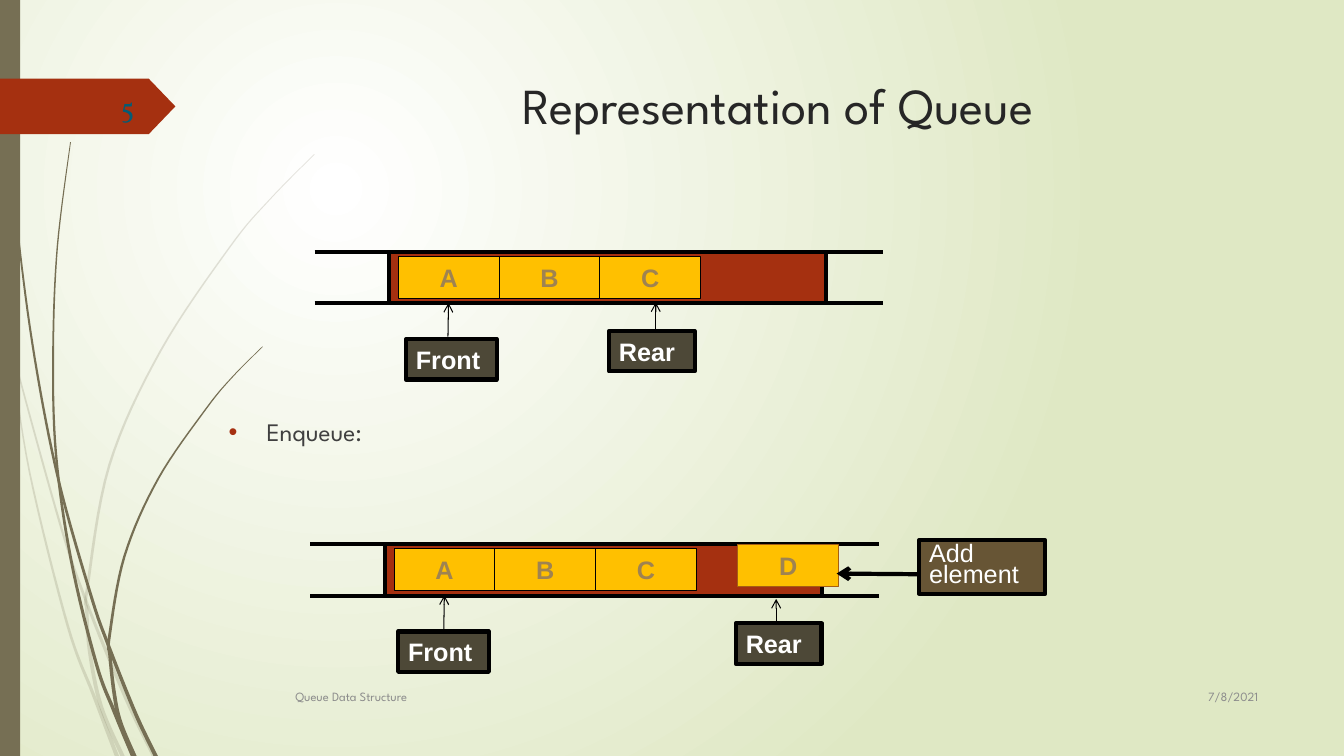
import lxml.etree
import pptx
import pptx.dml.color
import pptx.enum.shapes
import pptx.enum.text
import pptx.oxml.ns
import pptx.util

Pt = pptx.util.Pt
RGB = pptx.dml.color.RGBColor
ALIGN = pptx.enum.text.PP_ALIGN
ANCHOR = pptx.enum.text.MSO_ANCHOR
KIND = pptx.enum.shapes.MSO_SHAPE

WHITE = RGB(0xFF, 0xFF, 0xFF)
BLACK = RGB(0x00, 0x00, 0x00)
PALE = RGB(0xDF, 0xE8, 0xC4)
KHAKI = RGB(0x76, 0x6F, 0x54)
RUST = RGB(0xA5, 0x30, 0x10)
GOLD = RGB(0xFF, 0xC0, 0x00)
SAND = RGB(0x9F, 0x83, 0x51)
AMBER = RGB(0xA6, 0x5E, 0x12)
OLIVE = RGB(0x4D, 0x48, 0x37)
BROWN = RGB(0x67, 0x55, 0x35)
INK = RGB(0x26, 0x26, 0x26)
SLATE = RGB(0x40, 0x40, 0x40)
GREY = RGB(0x8C, 0x8C, 0x8C)
TEAL = RGB(0x04, 0x5C, 0x75)
HEAD = "League Spartan"

# Centre points of the grass strands, from tip to root
DARK = [
    [(2.5, 0), (5.4, 79), (13, 168), (24.8, 256), (41.8, 343), (65, 425.5),
     (77.8, 462), (96.5, 509), (111.2, 540)],
    [(50.4, 101.5), (41, 176.4), (38, 251), (40, 324), (50.8, 400),
     (68.8, 474), (81.4, 507.6), (95, 540)],
    [(187.5, 247.7), (166.3, 269), (147.2, 292), (113, 342), (89, 397),
     (78.1, 455), (78.5, 468), (81.4, 494), (85.7, 515), (96, 540)],
]
LIGHT = [
    [(0, 209), (11.2, 259), (43.2, 375), (62, 430.5), (90, 499), (110, 540)],
    [(8, 252), (21.2, 337.7), (48.2, 446.4), (67, 497), (83.5, 540)],
    [(224.6, 110.2), (193, 142.2), (164.5, 176), (114.5, 251), (78.1, 332.3),
     (62.3, 420.5), (62, 435.6), (64, 465), (72, 504), (87.5, 540)],
]


def sub(node, tag, **attrs):
    return lxml.etree.SubElement(node, pptx.oxml.ns.qn(tag), attrs)


def style(par, size, color, font, bold=False, align=ALIGN.LEFT):
    par.alignment = align
    for run in par.runs:
        run.font.size = Pt(size)
        run.font.name = font
        run.font.bold = bold
        run.font.color.rgb = color


def block(slide, box, fill, line=BLACK, width=3, kind=KIND.RECTANGLE):
    shape = slide.shapes.add_shape(kind, *map(Pt, box))
    shape.shadow.inherit = False
    shape.fill.solid()
    shape.fill.fore_color.rgb = fill
    if line is None:
        shape.line.fill.background()
    else:
        shape.line.color.rgb = line
        shape.line.width = Pt(width)
    return shape


def label(slide, box, text, fill=OLIVE, bold=True):
    shape = block(slide, box, fill)
    shape.text_frame.text = text
    style(shape.text_frame.paragraphs[0], 18, WHITE, "Arial", bold)
    return shape


def cell(slide, left, top, text, line=BLACK):
    shape = block(slide, (left, top, 72, 30.2), GOLD, line, 0.75)
    shape.text_frame.text = text
    style(shape.text_frame.paragraphs[0], 18, SAND, "Arial", True, ALIGN.CENTER)


def line(slide, start, end, width=3, arrow=False):
    link = slide.shapes.add_connector(
        pptx.enum.shapes.MSO_CONNECTOR.STRAIGHT, *map(Pt, start + end))
    link.line.color.rgb = BLACK
    link.line.width = Pt(width)
    if arrow:
        sub(link.line._get_or_add_ln(), "a:tailEnd", type="arrow")
    sub(link.element.spPr, "a:effectLst")


def queue(slide, left, top, front, rear, tip, gap):
    """Draw a queue of A, B, C; front, rear and tip are offsets from left,
    gap is the space between the queue and the tip of the rear arrow."""
    block(slide, (left, top, 312, 36.7), RUST)
    for y in (top, top + 36.7):
        for x in (left - 53.3, left + 287.3):
            line(slide, (x, y), (x + 65.5, y))
    label(slide, (left + rear, top + 56.5, 61.2, 28.8), "Rear")
    label(slide, (left + front, top + 62.3, 64.8, 28.8), "Front")
    for i, name in enumerate("ABC"):
        cell(slide, left + 6.5 + 72 * i, top + 2.9, name)
    line(slide, (left + 42, top + 60.5), (left + 42.4, top + 36.4), 0.75, True)
    line(slide, (left + tip, top + 55), (left + tip, top + 36 + gap), 0.75, True)


def insert(slide, left, top):
    """Show D entering the queue at left, top."""
    cell(slide, left, top, "D", AMBER)
    note = label(slide, (left + 129.6, top - 2.9, 90, 38.2),
                 "Add element", BROWN, False)
    note.text_frame.vertical_anchor = ANCHOR.TOP
    note.text_frame.paragraphs[0].line_spacing = 0.7
    line(slide, (left + 130.3, top + 21.4), (left + 70.6, top + 20.9), 3, True)


def curve(points, steps=8):
    """Give a smooth line through the points."""
    ends = [points[0]] + points + [points[-1]]
    spots = []
    for a, b, c, d in zip(ends, ends[1:], ends[2:], ends[3:]):
        for i in range(steps):
            t = i / steps
            spots.append(tuple(
                q + t / 2 * (r - p + t * (2 * p - 5 * q + 4 * r - s
                                          + t * (3 * q - p - 3 * r + s)))
                for p, q, r, s in zip(a, b, c, d)))
    return spots + [points[-1]]


def strand(slide, points, alpha):
    """Draw one blade of grass that widens towards its root."""
    spots = curve(points)
    wide = [0.3 + 1.3 * i / len(spots) for i in range(len(spots))]
    rim = [(x - w, y) for (x, y), w in zip(spots, wide)]
    rim += [(x + w, y) for (x, y), w in zip(spots, wide)][::-1]
    rim = [(Pt(x), Pt(y)) for x, y in rim]
    pen = slide.shapes.build_freeform(*rim[0])
    pen.add_line_segments(rim[1:])
    shape = pen.convert_to_shape()
    shape.shadow.inherit = False
    shape.line.fill.background()
    shape.fill.solid()
    shape.fill.fore_color.rgb = KHAKI
    tint = shape.element.spPr.find(".//" + pptx.oxml.ns.qn("a:srgbClr"))
    sub(tint, "a:alpha", val=str(alpha * 1000))


def backdrop(slide):
    fill = slide.background.fill
    fill.gradient()
    for stop, color, place in zip(fill.gradient_stops, (WHITE, PALE), (0, 1)):
        stop.color.rgb = color
        stop.position = place
    slope = slide.element.find(".//" + pptx.oxml.ns.qn("a:lin"))
    grad = slope.getparent()
    grad.remove(slope)
    glow = sub(grad, "a:path", path="circle")
    sub(glow, "a:fillToRect", l="50000", t="50000", r="100000", b="100000")
    for group, alpha in ((LIGHT, 20), (DARK, 100)):
        for points in group:
            strand(slide, points, alpha)
    block(slide, (0, 0, 14.4, 540), KHAKI, None)
    flag = block(slide, (0, 56.2, 125.3, 39.6), RUST, None, kind=KIND.PENTAGON)
    flag.adjustments[0] = 0.48


def holder(shape, box, text, size, color, align):
    shape.left, shape.top, shape.width, shape.height = map(Pt, box)
    frame = shape.text_frame
    frame.text = text
    frame.word_wrap = True
    frame.auto_size = pptx.enum.text.MSO_AUTO_SIZE.NONE
    frame.vertical_anchor = ANCHOR.TOP
    style(frame.paragraphs[0], size, color, HEAD, align=align)
    return frame.paragraphs[0]


def footer(slide, box, text, size, color, font, align):
    frame = slide.shapes.add_textbox(*map(Pt, box)).text_frame
    frame.text = text
    frame.word_wrap = True
    frame.vertical_anchor = ANCHOR.MIDDLE
    style(frame.paragraphs[0], size, color, font, align=align)


def main():
    deck = pptx.Presentation()
    deck.slide_width, deck.slide_height = Pt(960), Pt(540)
    slide = deck.slides.add_slide(deck.slide_layouts[1])
    backdrop(slide)
    title, body = slide.placeholders
    holder(title, (204.5, 49, 702, 100.8), "Representation of Queue",
           36, INK, ALIGN.CENTER)
    item = holder(body, (156.2, 294, 648, 219), "Enqueue:", 18, SLATE, ALIGN.LEFT)
    item.space_before = Pt(0)
    props = item._p.get_or_add_pPr()
    props.set("marL", str(Pt(27)))
    props.set("indent", str(Pt(-27)))
    sub(sub(props, "a:buClr"), "a:srgbClr", val=str(RUST))
    sub(props, "a:buFont", typeface="Arial")
    sub(props, "a:buChar", char="•")
    queue(slide, 278, 180, 12, 157, 190.4, 0)
    queue(slide, 275, 388.8, 9.4, 250.6, 279.4, 3)
    insert(slide, 527, 388.8)
    footer(slide, (815.8, 482.4, 90, 29.5), "7/8/2021", 9, GREY, HEAD, ALIGN.RIGHT)
    footer(slide, (41.8, 62, 61.2, 28.8), "5", 20, TEAL, "Vollkorn", ALIGN.RIGHT)
    footer(slide, (203.8, 483, 600, 28.8), "Queue Data Structure", 9, GREY, HEAD,
           ALIGN.LEFT)
    deck.save("out.pptx")


if __name__ == "__main__":
    main()
